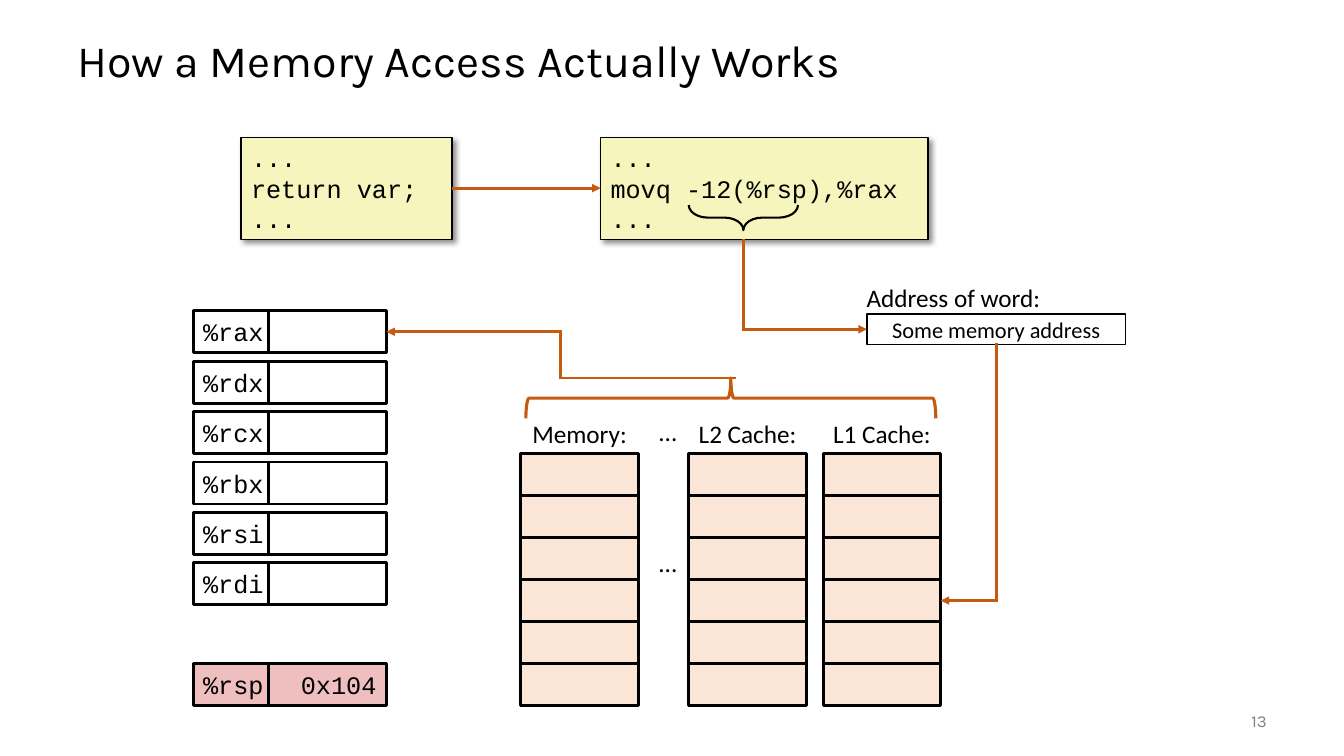
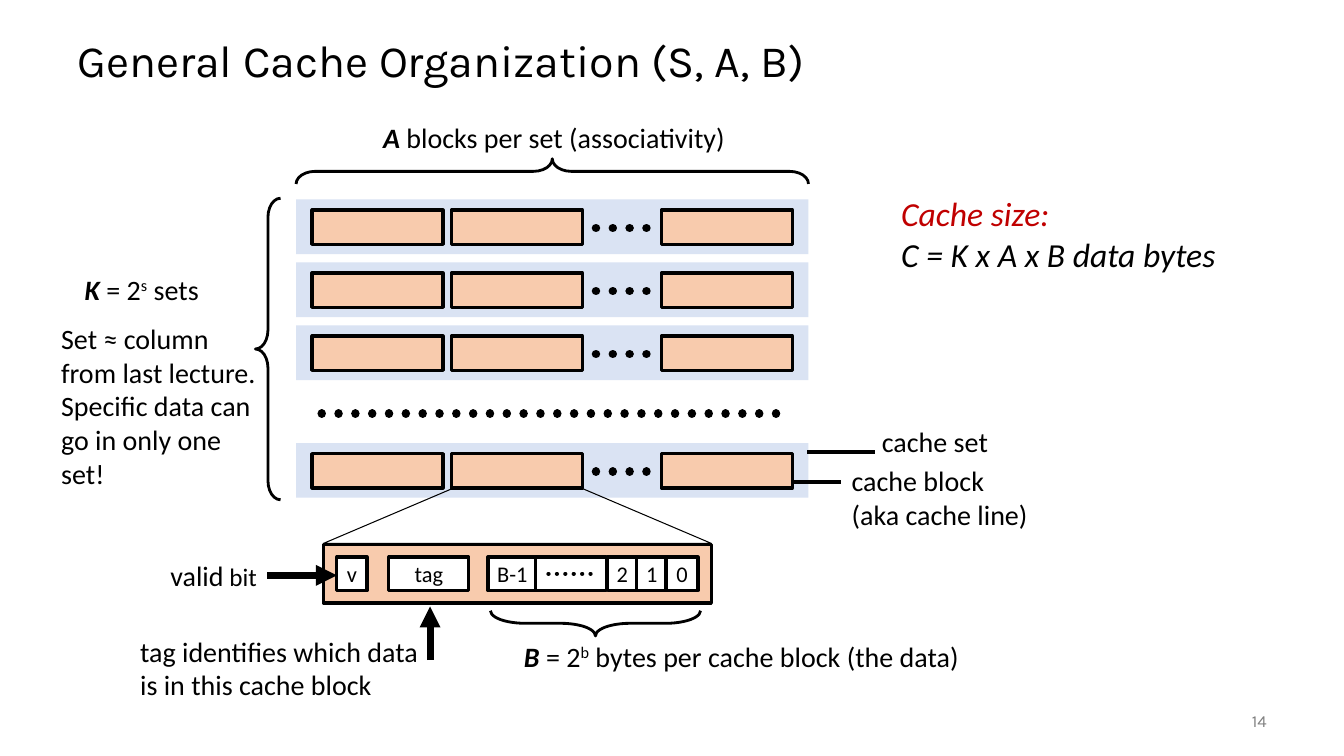
from lxml import etree
from pptx import Presentation
from pptx import util as u
from pptx.dml.color import RGBColor
from pptx.enum import dml, shapes, text
from pptx.oxml.ns import qn

GRID_COLUMNS, GRID_ROWS = 160, 90
CELL = u.Inches(1) / 12

BLACK = RGBColor(0x00, 0x00, 0x00)
WHITE = RGBColor(0xFF, 0xFF, 0xFF)
GREY = RGBColor(0x80, 0x80, 0x80)
RED = RGBColor(0xC0, 0x00, 0x00)
ORANGE = RGBColor(0xC5, 0x5A, 0x11)
CODE_FILL = RGBColor(0xF6, 0xF5, 0xBD)
MEMORY_FILL = RGBColor(0xFB, 0xE5, 0xD6)
POINTER_FILL = RGBColor(0xEF, 0xBF, 0xBF)
SET_FILL = RGBColor(0xDA, 0xE3, 0xF3)
BLOCK_FILL = RGBColor(0xF8, 0xCB, 0xAD)

TITLE_FONT, BODY_FONT, CODE_FONT = "Karla", "Calibri", "Courier New"
LEFT, CENTER, RIGHT = text.PP_ALIGN.LEFT, text.PP_ALIGN.CENTER, text.PP_ALIGN.RIGHT
TOP, MIDDLE = text.MSO_ANCHOR.TOP, text.MSO_ANCHOR.MIDDLE
RECTANGLE = shapes.MSO_SHAPE.RECTANGLE
BRACE_TURNS = {"left": 0, "up": 90, "down": 270}


def grid(*cells):
    """Turn grid cells into slide lengths."""
    return [u.Emu(round(cell * CELL)) for cell in cells]


def write(shape, lines, size=18, font=BODY_FONT, color=BLACK, align=LEFT,
          anchor=TOP, wrap=False, spacing=None):
    """Fill a shape with lines, each a string or a list of (text, format) spans."""
    frame = shape.text_frame
    frame.word_wrap = wrap
    frame.vertical_anchor = anchor
    for index, line in enumerate(lines):
        para = frame.add_paragraph() if index else frame.paragraphs[0]
        para.alignment = align
        if spacing:
            para.line_spacing = spacing
        for words, style in [(line, {})] if isinstance(line, str) else line:
            span = para.add_run()
            span.text = words
            span.font.name = font
            span.font.size = u.Pt(style.get("size", size))
            span.font.color.rgb = style.get("color", color)
            span.font.bold = style.get("bold", False)
            span.font.italic = style.get("italic", False)
            if style.get("raised"):
                span.font._element.set("baseline", "30000")


def label(page, box, *lines, **style):
    """Place a plain text box."""
    write(page.shapes.add_textbox(*grid(*box)), lines, **style)


def draw(page, box, kind=RECTANGLE, fill=None, weight=2.0, color=BLACK):
    """Place a preset shape with a flat fill and outline."""
    shape = page.shapes.add_shape(kind, *grid(*box))
    shape.shadow.inherit = False
    if fill is None:
        shape.fill.background()
    else:
        shape.fill.solid()
        shape.fill.fore_color.rgb = fill
    if weight:
        shape.line.color.rgb = color
        shape.line.width = u.Pt(weight)
    else:
        shape.line.fill.background()
    return shape


def brace(page, box, pointing, curl=0.75, **style):
    """Draw a brace that covers the box and points left, up or down."""
    left, top, width, height = box
    if pointing != "left":
        left += (width - height) / 2
        top += (height - width) / 2
        width, height = height, width
    shape = draw(page, (left, top, width, height), shapes.MSO_SHAPE.LEFT_BRACE, **style)
    shape.adjustments[0] = curl
    shape.rotation = BRACE_TURNS[pointing]


def line(page, *points, color=BLACK, weight=2.0, arrow=False, dots=False):
    """Join the points with straight legs, with an optional arrowhead at the end."""
    for start, end in zip(points, points[1:]):
        leg = page.shapes.add_connector(shapes.MSO_CONNECTOR.STRAIGHT, *grid(*start, *end))
        leg.line.color.rgb = color
        leg.line.width = u.Pt(weight)
        if dots:
            leg.line.dash_style = dml.MSO_LINE.ROUND_DOT
        outline = leg.element.spPr.find(qn("a:ln"))
        if dots:
            outline.set("cap", "rnd")
        elif len(points) > 2:
            outline.set("cap", "sq")
        if arrow and end == points[-1]:
            etree.SubElement(outline, qn("a:tailEnd"), type="triangle")
        etree.SubElement(leg.element.spPr, qn("a:effectLst"))


def start_page(deck, title, number):
    """Add a page with its title and page number."""
    page = deck.slides.add_slide(deck.slide_layouts[5])
    heading = page.shapes.title
    heading.left, heading.top, heading.width, heading.height = grid(8, 3, 144, 9)
    heading.text_frame.auto_size = text.MSO_AUTO_SIZE.NONE
    write(heading, [title], size=32, font=TITLE_FONT, anchor=MIDDLE, wrap=True, spacing=0.9)
    label(page, (140, 83.4, 12, 4.8), str(number), size=12, font=TITLE_FONT,
          color=GREY, align=RIGHT, anchor=MIDDLE, wrap=True)
    return page


def code_box(page, box, statement):
    """Draw a shadowed listing with one statement between ellipses."""
    shape = draw(page, box, fill=CODE_FILL, weight=1)
    effects = shape.element.spPr.find(qn("a:effectLst"))
    shadow = etree.SubElement(effects, qn("a:outerShdw"), blurRad=str(u.Pt(4)),
                              dist=str(u.Pt(3)), dir="2700000", algn="tl", rotWithShape="0")
    tint = etree.SubElement(shadow, qn("a:srgbClr"), val=str(BLACK))
    etree.SubElement(tint, qn("a:alpha"), val="43000")
    write(shape, ["...", statement, "..."], font=CODE_FONT, wrap=True)


def register_file(page, box):
    """Stack the registers, with the stack pointer set apart at the bottom."""
    left, top, width, height = box
    step = height / 8
    names = ["%rax", "%rdx", "%rcx", "%rbx", "%rsi", "%rdi", None, "%rsp"]
    for row, name in enumerate(names):
        if name is None:
            continue
        pointer = name == "%rsp"
        fill = POINTER_FILL if pointer else WHITE
        y = top + row * step
        name_cell = draw(page, (left, y, 9, 5), fill=fill)
        write(name_cell, [name], font=CODE_FONT, anchor=MIDDLE)
        value_cell = draw(page, (left + 9, y, width - 9, 5), fill=fill)
        if pointer:
            write(value_cell, ["0x104"], font=CODE_FONT, align=RIGHT, anchor=MIDDLE)


def memory_column(page, box, name):
    """Draw a named stack of six memory words."""
    left, top, width, height = box
    label(page, (left, top - 4.8, width, 4.8), name, align=CENTER)
    for row in range(6):
        draw(page, (left, top + row * height / 6, width, height / 6), fill=MEMORY_FILL)


def memory_access_page(deck):
    """Show the path of a memory access from code to register."""
    page = start_page(deck, "How a Memory Access Actually Works", 13)
    code_box(page, (28.7, 16.4, 25.1, 12.1), "return var;")
    code_box(page, (71.5, 16.4, 39, 12.1), "movq -12(%rsp),%rax")
    brace(page, (82, 24.4, 13, 3), "down", weight=1.5)

    label(page, (102, 33, 23.8, 4.8), "Address of word:")
    address = draw(page, (103.2, 37.4, 30.8, 3.6), fill=WHITE, weight=1)
    write(address, ["Some memory address"], size=16, align=CENTER, anchor=MIDDLE)

    register_file(page, (23, 37, 23, 48))
    for left, name in [(62, "Memory:"), (82, "L2 Cache:"), (98, "L1 Cache:")]:
        memory_column(page, (left, 54, 14, 30), name)
    for top in (49, 64.6):
        label(page, (77.2, top, 4.8, 4.8), "...")
    brace(page, (62.6, 45, 48.8, 4.8), "up", curl=0.08, weight=2.25, color=ORANGE)

    for route in [
        [(53.8, 22.4), (71.5, 22.4)],
        [(88.5, 28.6), (88.5, 39.2), (103.2, 39.2)],
        [(118.6, 41), (118.6, 71.5), (112, 71.5)],
        [(87.4, 45), (66.7, 45), (66.7, 39.5), (46, 39.5)],
    ]:
        line(page, *route, color=ORANGE, arrow=True)


def cache_set(page, box):
    """Draw one set: a band with its blocks and an ellipsis."""
    left, top, width, height = box
    draw(page, box, fill=SET_FILL, weight=0)
    for offset in (1.9, 18.5, 43.5):
        draw(page, (left + offset, top + 1.25, 15.6, 4.1), fill=BLOCK_FILL, weight=2.25)
    middle = top + 3.4
    line(page, (left + 35.7, middle), (left + 43.5, middle), weight=6, dots=True)


def block_detail(page, box):
    """Draw the valid bit, tag and bytes inside one block."""
    left, top, width, height = box
    draw(page, box, fill=BLOCK_FILL, weight=2.25)
    for offset, size, name in [(1.6, 3.6, "v"), (7.8, 9.5, "tag"), (19.6, 5.8, "B-1"),
                               (25.3, 8.4, ""), (33.8, 3.6, "2"), (37.3, 3.6, "1"),
                               (40.8, 3.8, "0")]:
        field = draw(page, (left + offset, top + 1.5, size, 4), fill=WHITE, weight=2.25)
        if name:
            write(field, [name], size=16, align=CENTER, anchor=MIDDLE)
    middle = top + height / 2
    line(page, (left + 26.8, middle), (left + 32.8, middle), weight=3, dots=True)


def cache_labels(page):
    """Place the captions around the cache diagram."""
    strong, raised = {"bold": True, "italic": True}, {"raised": True}
    italic = {"italic": True}
    label(page, (40.1, 13.8, 51.7, 5.3),
          [("A", strong), (" blocks per set (associativity)", {})],
          size=20, align=CENTER, wrap=True)
    label(page, (8.9, 31.8, 16.3, 5.3),
          [("K", strong), (" = 2", {}), ("s", raised), (" sets", {})], size=20)
    label(page, (6.1, 37.7, 25.7, 21.4), "Set ≈ column from last lecture.",
          "Specific data can go in only one set!", size=20, wrap=True)
    label(page, (106.1, 22.4, 40.2, 10.9), [("Cache size:", {**italic, "color": RED})],
          [("C = K x A x B data bytes", italic)], size=24)
    label(page, (103.8, 50, 15.2, 5.3), "cache set", size=20)
    label(page, (100.2, 54.6, 23.6, 9.2), "cache block", "(aka cache line)", size=20)
    label(page, (19.1, 65.9, 12.8, 5.3), [("valid", {}), (" bit", {"size": 18})], size=20)
    label(page, (15.5, 74.9, 36.7, 9.2), "tag identifies which data is in this cache block",
          size=20, wrap=True)
    label(page, (61.2, 75.5, 54.8, 5.3),
          [("B", strong), (" = 2", {}), ("b", raised),
           (" bytes per cache block (the data)", {})], size=20)


def cache_page(deck):
    """Show how a cache splits into sets, blocks and bytes."""
    page = start_page(deck, "General Cache Organization (S, A, B)", 14)
    for top in (23.75, 31.25, 38.75, 52.75):
        cache_set(page, (35.25, top, 61, 6.5))
    line(page, (38.3, 49.25), (94.3, 49.25), weight=6, dots=True)

    zoom = draw(page, (38.5, 58.2, 46.2, 6.5), shapes.MSO_SHAPE.TRAPEZOID, weight=0.75)
    zoom.adjustments[0] = 2.35
    block_detail(page, (38.5, 64.8, 46.2, 7))

    brace(page, (35.25, 18.9, 61, 3), "up")
    brace(page, (30.4, 23.6, 3, 35.9), "left")
    brace(page, (58.4, 72.7, 25, 3), "down", curl=1.37)

    line(page, (96.1, 53.8), (104.2, 53.8), weight=3)
    line(page, (94.2, 57.4), (100.1, 57.4), weight=3)
    line(page, (31.8, 68.5), (40.1, 68.5), weight=5, arrow=True)
    line(page, (51.2, 78.6), (51.2, 72.2), weight=5, arrow=True)
    cache_labels(page)


def main():
    """Build and save the deck."""
    deck = Presentation()
    deck.slide_width, deck.slide_height = grid(GRID_COLUMNS, GRID_ROWS)
    memory_access_page(deck)
    cache_page(deck)
    deck.save("out.pptx")


if __name__ == "__main__":
    main()
